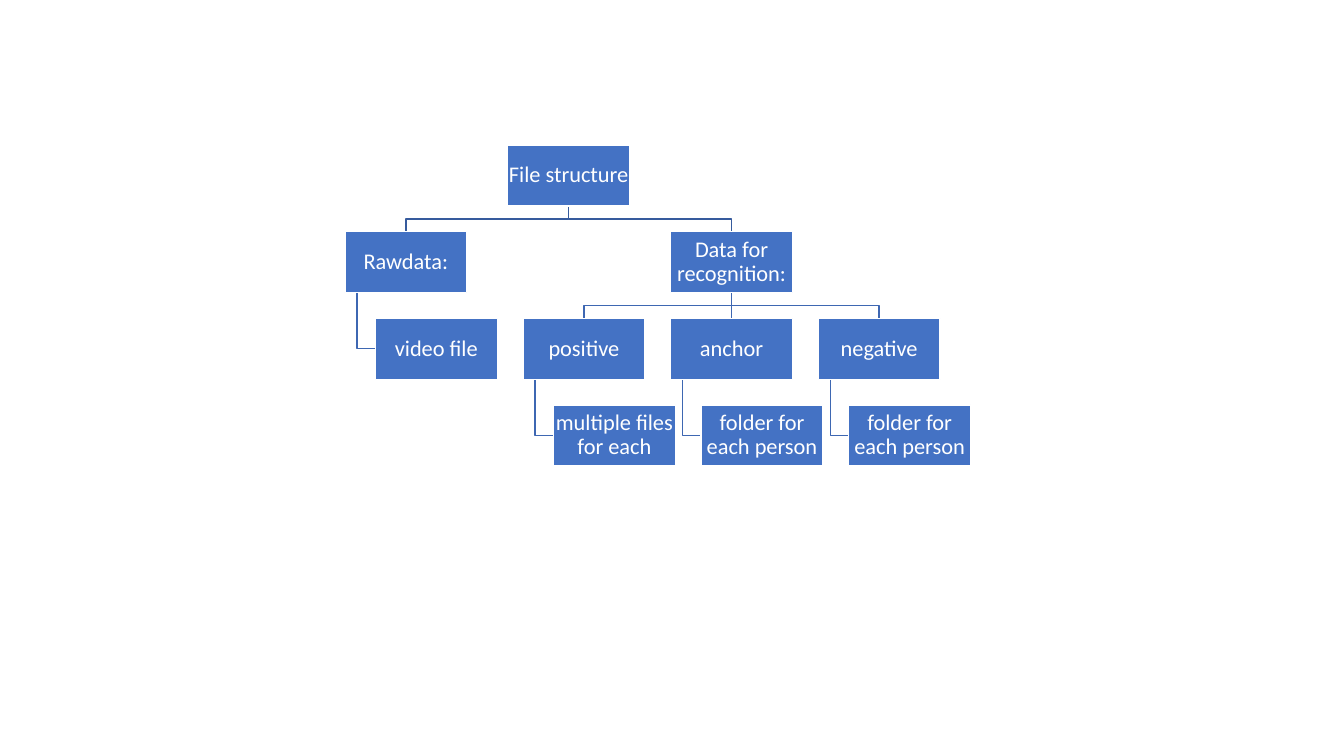
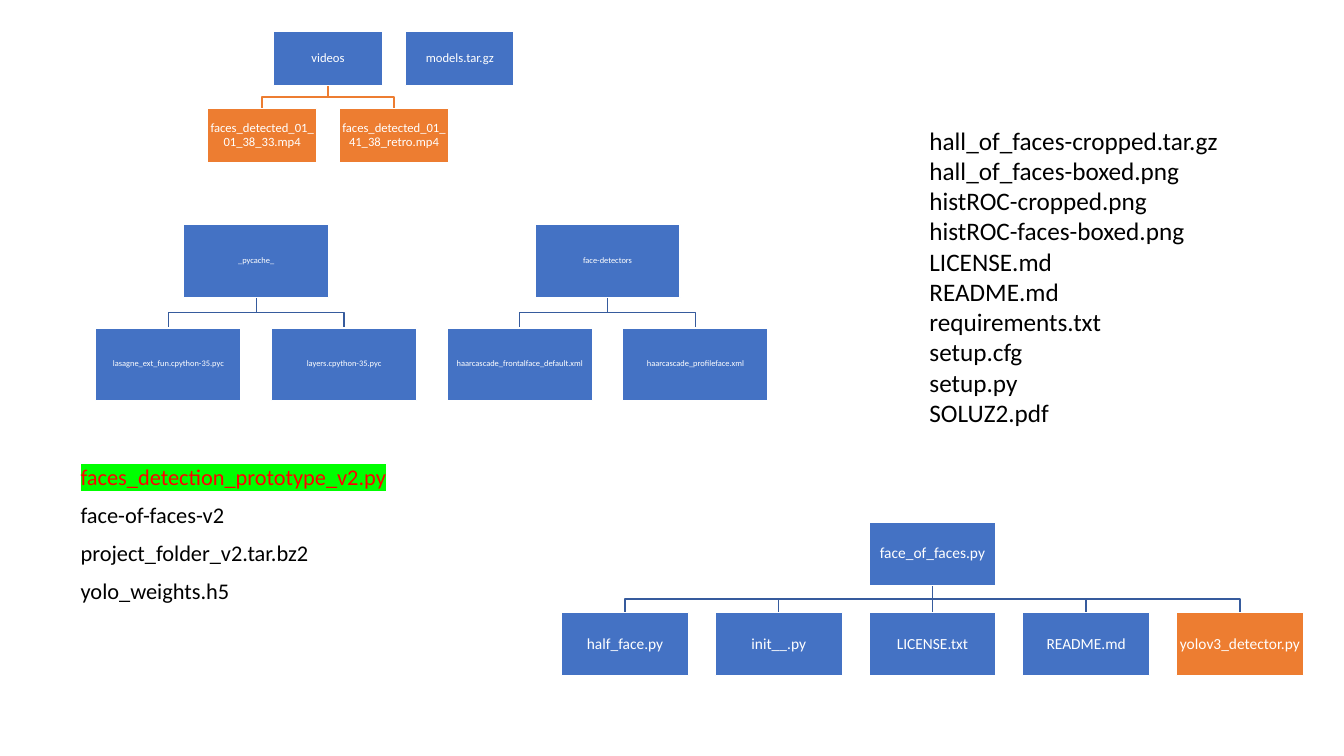
import pptx
import pptx.dml.color
import pptx.enum.shapes
import pptx.enum.text
import pptx.oxml
import pptx.oxml.ns
import pptx.util
from pptx.util import Inches

RGBColor = pptx.dml.color.RGBColor
BLUE = RGBColor(0x44, 0x72, 0xC4)
ORANGE = RGBColor(0xED, 0x7D, 0x31)
DARK_LINK = RGBColor(0x36, 0x5B, 0x9D)
MID_LINK = RGBColor(0x3E, 0x67, 0xB2)
WHITE = RGBColor(0xFF, 0xFF, 0xFF)
BLACK = RGBColor(0x00, 0x00, 0x00)
RED = RGBColor(0xFF, 0x00, 0x00)
GREEN = RGBColor(0x00, 0xFF, 0x00)

FONT = "Calibri"
# Tree proportions, as multiples of the box width
BOX_HEIGHT = 0.5
COLUMN_STEP = 1.21
ROW_STEP = 0.71
TRUNK_INSET = 0.1
HANG = 0.25 / COLUMN_STEP  # indent of a hanging child, in columns

CENTRED = {"alignment": pptx.enum.text.PP_ALIGN.CENTER, "line_spacing": 0.9}
FRAME = {"word_wrap": True, "auto_size": pptx.enum.text.MSO_AUTO_SIZE.NONE}
BOX_FRAME = {
    **FRAME, "vertical_anchor": pptx.enum.text.MSO_ANCHOR.MIDDLE,
    "margin_left": 0, "margin_right": 0, "margin_top": 0, "margin_bottom": 0,
}


def write_lines(frame, lines, size, color, frame_format, para_format):
    """Fill a text frame with one formatted paragraph per line."""
    for name, value in frame_format.items():
        setattr(frame, name, value)
    for index, line in enumerate(lines):
        para = frame.paragraphs[0] if index == 0 else frame.add_paragraph()
        for name, value in para_format.items():
            setattr(para, name, value)
        span = para.add_run()
        span.text = line
        font_format = {"name": FONT, "size": pptx.util.Pt(size)}
        for name, value in font_format.items():
            setattr(span.font, name, value)
        span.font.color.rgb = color


def draw_tree(page, left, top, width, size, nodes):
    """Draw nodes of (text, column, row, parent, link, fill, link color)."""
    height = width * BOX_HEIGHT
    corners = [(left + node[1] * width * COLUMN_STEP,
                top + node[2] * width * ROW_STEP) for node in nodes]

    # Links lie behind the boxes
    for (x, y), (_, column, _, parent, link, _, color) in zip(corners, nodes):
        if parent is None:
            continue
        parent_x, parent_y = corners[parent]
        start_y = parent_y + height
        if link == "hang":
            trunk = parent_x + width * TRUNK_INSET
            points = [(trunk, start_y), (trunk, y + height / 2), (x, y + height / 2)]
        else:
            start_x, end_x = parent_x + width / 2, x + width / 2
            middle = (start_y + y) / 2
            points = [(start_x, start_y), (start_x, middle), (end_x, middle), (end_x, y)]
        points = [(Inches(across), Inches(down)) for across, down in points]
        if link == "drop" and column == nodes[parent][1]:
            line = page.shapes.add_connector(
                pptx.enum.shapes.MSO_CONNECTOR.STRAIGHT, *points[0], *points[-1])
            line._element.spPr.append(pptx.oxml.parse_xml(
                f"<a:effectLst {pptx.oxml.ns.nsdecls('a')}/>"))
        else:
            builder = page.shapes.build_freeform(*points[0])
            builder.add_line_segments(points[1:], close=False)
            line = builder.convert_to_shape()
            line.fill.background()
            line.shadow.inherit = False
        line.line.color.rgb = color
        line.line.width = pptx.util.Pt(1)

    for (x, y), (text, _, _, _, _, fill, _) in zip(corners, nodes):
        box = page.shapes.add_shape(
            pptx.enum.shapes.MSO_SHAPE.RECTANGLE,
            Inches(x), Inches(y), Inches(width), Inches(height))
        box.shadow.inherit = False
        box.fill.solid()
        box.fill.fore_color.rgb = fill
        box.line.color.rgb = WHITE
        box.line.width = pptx.util.Pt(1)
        write_lines(box.text_frame, [text], size, WHITE, BOX_FRAME, CENTRED)


deck = pptx.Presentation()
deck.slide_width = Inches(13.33)
deck.slide_height = Inches(7.5)

# Slide 1: file structure
page = deck.slides.add_slide(deck.slide_layouts[6])
first = 1 + HANG  # column of the first recognition folder
nodes = [
    ("File structure", (first + 1) / 2, 0, None, None, BLUE, None),
    ("Rawdata:", 0, 1, 0, "drop", BLUE, DARK_LINK),
    ("Data for recognition:", first + 1, 1, 0, "drop", BLUE, DARK_LINK),
    ("video file", HANG, 2, 1, "hang", BLUE, MID_LINK),
]
folders = [("positive", "multiple files for each"),
           ("anchor", "folder for each person"),
           ("negative", "folder for each person")]
for index, (folder, content) in enumerate(folders):
    column = first + index
    nodes.append((folder, column, 2, 2, "drop", BLUE, MID_LINK))
    nodes.append((content, column + HANG, 3, len(nodes) - 1, "hang", BLUE, MID_LINK))
draw_tree(page, 3.42, 1.44, 1.21, 16, nodes)

# Slide 2: project files
page = deck.slides.add_slide(deck.slide_layouts[1])
title = page.shapes.title
title._element.getparent().remove(title._element)

# Cache and detector folders
draw_tree(page, 0.95, 2.23, 1.44, 6, [
    ("_pycache_", 0.5, 0, None, None, BLUE, None),
    ("lasagne_ext_fun.cpython-35.pyc", 0, 1, 0, "drop", BLUE, DARK_LINK),
    ("layers.cpython-35.pyc", 1, 1, 0, "drop", BLUE, DARK_LINK),
    ("face-detectors", 2.5, 0, None, None, BLUE, None),
    ("haarcascade_frontalface_default.xml", 2, 1, 3, "drop", BLUE, DARK_LINK),
    ("haarcascade_profileface.xml", 3, 1, 3, "drop", BLUE, DARK_LINK),
])

# Loose files on the right
box = page.shapes.add_textbox(Inches(9.12), Inches(1.19), Inches(4.1), Inches(3.13))
write_lines(box.text_frame, [
    "hall_of_faces-cropped.tar.gz", "hall_of_faces-boxed.png",
    "histROC-cropped.png", "histROC-faces-boxed.png", "LICENSE.md",
    "README.md", "requirements.txt", "setup.cfg", "setup.py", "SOLUZ2.pdf",
], 18, BLACK, FRAME, {})

# Python package
nodes = [("face_of_faces.py", 2, 0, None, None, BLUE, None)]
modules = ["half_face.py", "init__.py", "LICENSE.txt", "README.md", "yolov3_detector.py"]
for column, name in enumerate(modules):
    fill = ORANGE if name == "yolov3_detector.py" else BLUE
    nodes.append((name, column, 1, 0, "drop", fill, DARK_LINK))
draw_tree(page, 5.57, 5.18, 1.26, 11, nodes)

# Main files list, first one highlighted
body = page.placeholders[1]
place = {"left": 0.7, "top": 4.57, "width": 5.97, "height": 2.54}
for name, value in place.items():
    setattr(body, name, Inches(value))
write_lines(body.text_frame, [
    "faces_detection_prototype_v2.py", "face-of-faces-v2",
    "project_folder_v2.tar.bz2", "yolo_weights.h5",
], 16, BLACK, FRAME, {"line_spacing": 0.9, "space_before": pptx.util.Pt(10)})
for para in body.text_frame.paragraphs:
    properties = para._p.get_or_add_pPr()
    properties.set("marL", "0")
    properties.set("indent", "0")
    properties.append(pptx.oxml.parse_xml(f"<a:buNone {pptx.oxml.ns.nsdecls('a')}/>"))
span = body.text_frame.paragraphs[0].runs[0]
span.font.color.rgb = RED
color_fill = span._r.get_or_add_rPr().find(pptx.oxml.ns.qn("a:solidFill"))
color_fill.addnext(pptx.oxml.parse_xml(
    f"<a:highlight {pptx.oxml.ns.nsdecls('a')}><a:srgbClr val='{GREEN}'/></a:highlight>"))

# Videos and models
draw_tree(page, 2.06, 0.31, 1.08, 9, [
    ("videos", 0.5, 0, None, None, BLUE, None),
    ("faces_detected_01_01_38_33.mp4", 0, 1, 0, "drop", ORANGE, ORANGE),
    ("faces_detected_01_41_38_retro.mp4", 1, 1, 0, "drop", ORANGE, ORANGE),
    ("models.tar.gz", 1.5, 0, None, None, BLUE, None),
])

deck.save("out.pptx")
